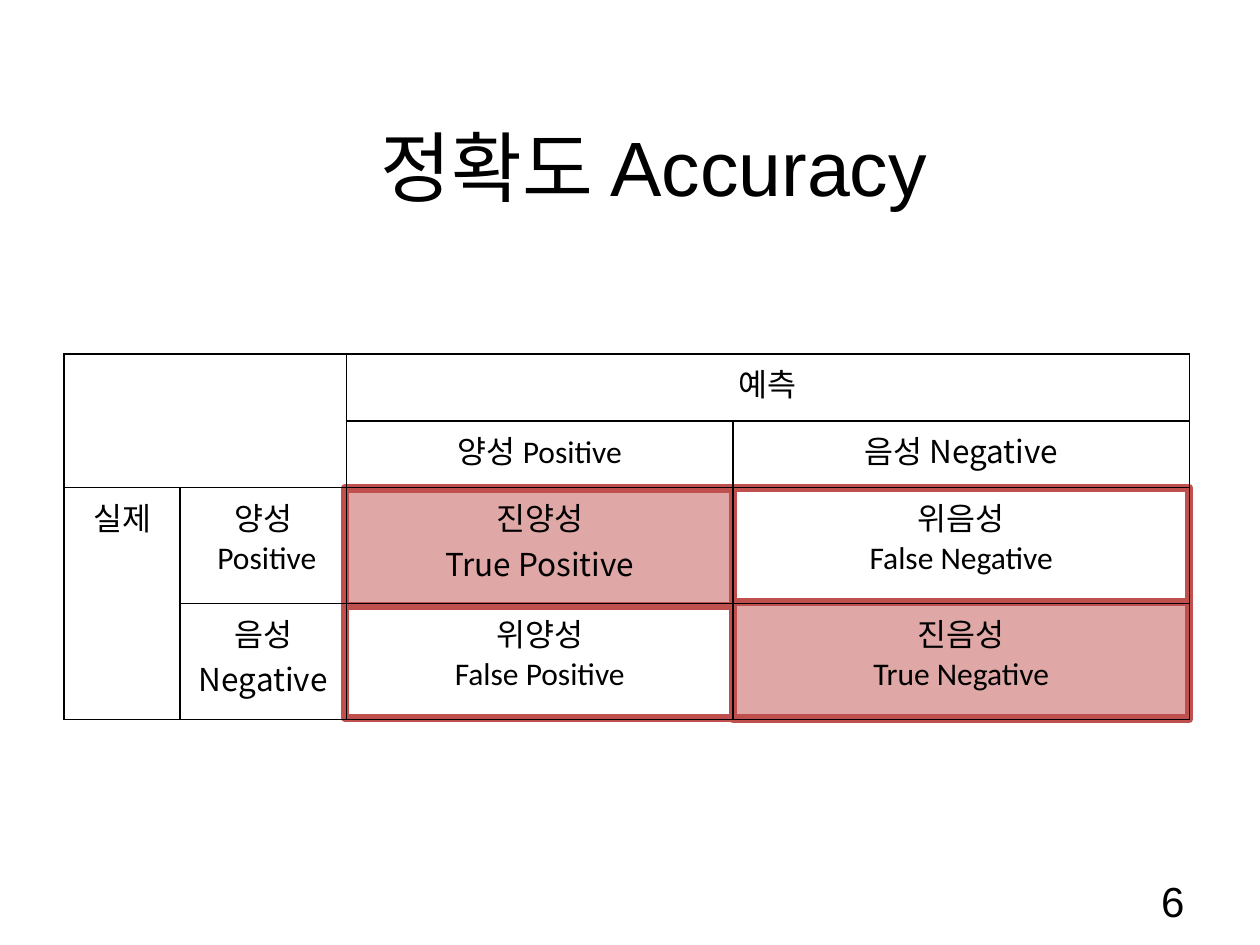
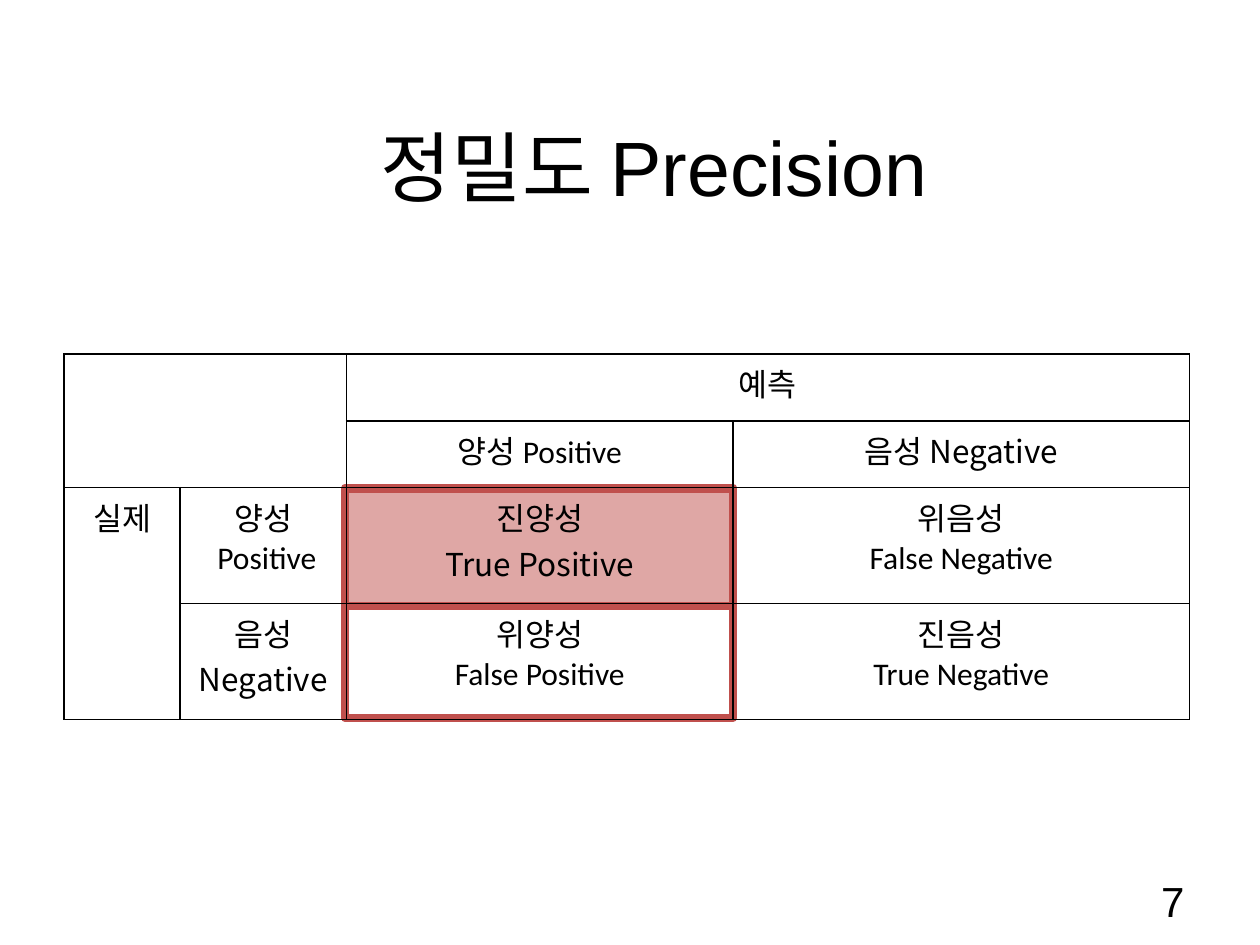
"""Build the accuracy and precision slides around one confusion matrix."""
import lxml.etree
import pptx
import pptx.dml.color
import pptx.enum.shapes
import pptx.enum.text
import pptx.oxml.ns
import pptx.util

Inches = pptx.util.Inches
qn = pptx.oxml.ns.qn
ALIGN = pptx.enum.text.PP_ALIGN
COLORS = {"text": "000000", "highlight": "C0504D"}
KOREAN_FONT = "Noto Sans CJK KR"
KOREAN_FONT_LINES = {"음성 Negative", "True Positive", "Negative"}

COLUMN_WIDTHS = [0.92, 1.32, 3.07, 3.62]
ROW_HEIGHTS = [0.53, 0.53, 0.92, 0.92]
MERGES = [((0, 0), (1, 1)), ((0, 2), (0, 3)), ((2, 0), (3, 0))]
MATRIX = {
    (0, 2): "예측",
    (1, 2): "양성 Positive",
    (1, 3): "음성 Negative",
    (2, 0): "실제",
    (2, 1): "양성\n Positive",
    (2, 2): "진양성\nTrue Positive",
    (2, 3): "위음성\nFalse Negative",
    (3, 1): "음성\nNegative",
    (3, 2): "위양성\nFalse Positive",
    (3, 3): "진음성\nTrue Negative",
}

TRUE_POSITIVE = (2.74, 3.88, 3.08, 0.93, True)
TRUE_NEGATIVE = (5.82, 4.78, 3.62, 0.93, True)
ALL_RESULTS = (2.74, 3.87, 6.7, 1.83, False)
PREDICTED_POSITIVE = (2.74, 3.87, 3.08, 1.83, False)
SLIDES = [
    ("정확도 Accuracy", 6, [TRUE_POSITIVE, ALL_RESULTS, TRUE_NEGATIVE]),
    ("정밀도 Precision", 7, [TRUE_POSITIVE, PREDICTED_POSITIVE]),
]


def format_paragraph(paragraph, size, font_name, alignment):
    paragraph.alignment = alignment
    paragraph.font.size = pptx.util.Pt(size)
    paragraph.font.name = font_name
    paragraph.font.color.rgb = pptx.dml.color.RGBColor.from_string(COLORS["text"])
    defaults = paragraph._p.pPr.find(qn("a:defRPr"))
    lxml.etree.SubElement(defaults, qn("a:ea"), typeface=KOREAN_FONT)


def add_borders(cell):
    properties = cell._tc.get_or_add_tcPr()
    for position, side in enumerate(["lnL", "lnR", "lnT", "lnB"]):
        line = lxml.etree.Element(qn(f"a:{side}"), w=str(pptx.util.Pt(1)))
        fill = lxml.etree.SubElement(line, qn("a:solidFill"))
        lxml.etree.SubElement(fill, qn("a:srgbClr"), val=COLORS["text"])
        properties.insert(position, line)


presentation = pptx.Presentation()
presentation.slide_width = Inches(10)
presentation.slide_height = Inches(7.5)
highlight = pptx.dml.color.RGBColor.from_string(COLORS["highlight"])

for title_text, number, highlights in SLIDES:
    slide = presentation.slides.add_slide(presentation.slide_layouts[5])

    title = slide.shapes.title
    title.left, title.top = Inches(0.94), Inches(0.51)
    title.width, title.height = Inches(8.5), Inches(1.61)
    title.text_frame.text = title_text
    title.text_frame.vertical_anchor = pptx.enum.text.MSO_ANCHOR.MIDDLE
    format_paragraph(title.text_frame.paragraphs[0], 44, "Arial", ALIGN.CENTER)

    number_box = slide.shapes.add_textbox(Inches(7.17), Inches(6.95), Inches(2.33), Inches(0.4))
    number_box.text_frame.word_wrap = True
    number_box.text_frame.vertical_anchor = pptx.enum.text.MSO_ANCHOR.MIDDLE
    number_box.text_frame.text = str(number)
    format_paragraph(number_box.text_frame.paragraphs[0], 24, "Arial", ALIGN.RIGHT)

    for left, top, width, height, filled in highlights:
        shape = slide.shapes.add_shape(
            pptx.enum.shapes.MSO_SHAPE.RECTANGLE,
            Inches(left), Inches(top), Inches(width), Inches(height))
        shape.shadow.inherit = False
        shape.line.color.rgb = highlight
        shape.line.width = pptx.util.Pt(4.5)
        if filled:
            shape.fill.solid()
            shape.fill.fore_color.rgb = highlight
            color = shape._element.spPr.find(qn("a:solidFill")).find(qn("a:srgbClr"))
            lxml.etree.SubElement(color, qn("a:alpha"), val="50000")
        else:
            shape.fill.background()

    table = slide.shapes.add_table(
        len(ROW_HEIGHTS), len(COLUMN_WIDTHS), Inches(0.51), Inches(2.81),
        Inches(sum(COLUMN_WIDTHS)), Inches(sum(ROW_HEIGHTS))).table
    table.first_row = False
    table.horz_banding = False
    for column, width in zip(table.columns, COLUMN_WIDTHS):
        column.width = Inches(width)
    for row, height in zip(table.rows, ROW_HEIGHTS):
        row.height = Inches(height)
    for first, last in MERGES:
        table.cell(*first).merge(table.cell(*last))
    for cell in table.iter_cells():
        cell.fill.background()
        add_borders(cell)
    for place, text in MATRIX.items():
        cell = table.cell(*place)
        cell.text = text
        for paragraph in cell.text_frame.paragraphs:
            font_name = KOREAN_FONT if paragraph.text in KOREAN_FONT_LINES else "Calibri"
            format_paragraph(paragraph, 18, font_name, ALIGN.CENTER)

presentation.save("out.pptx")
